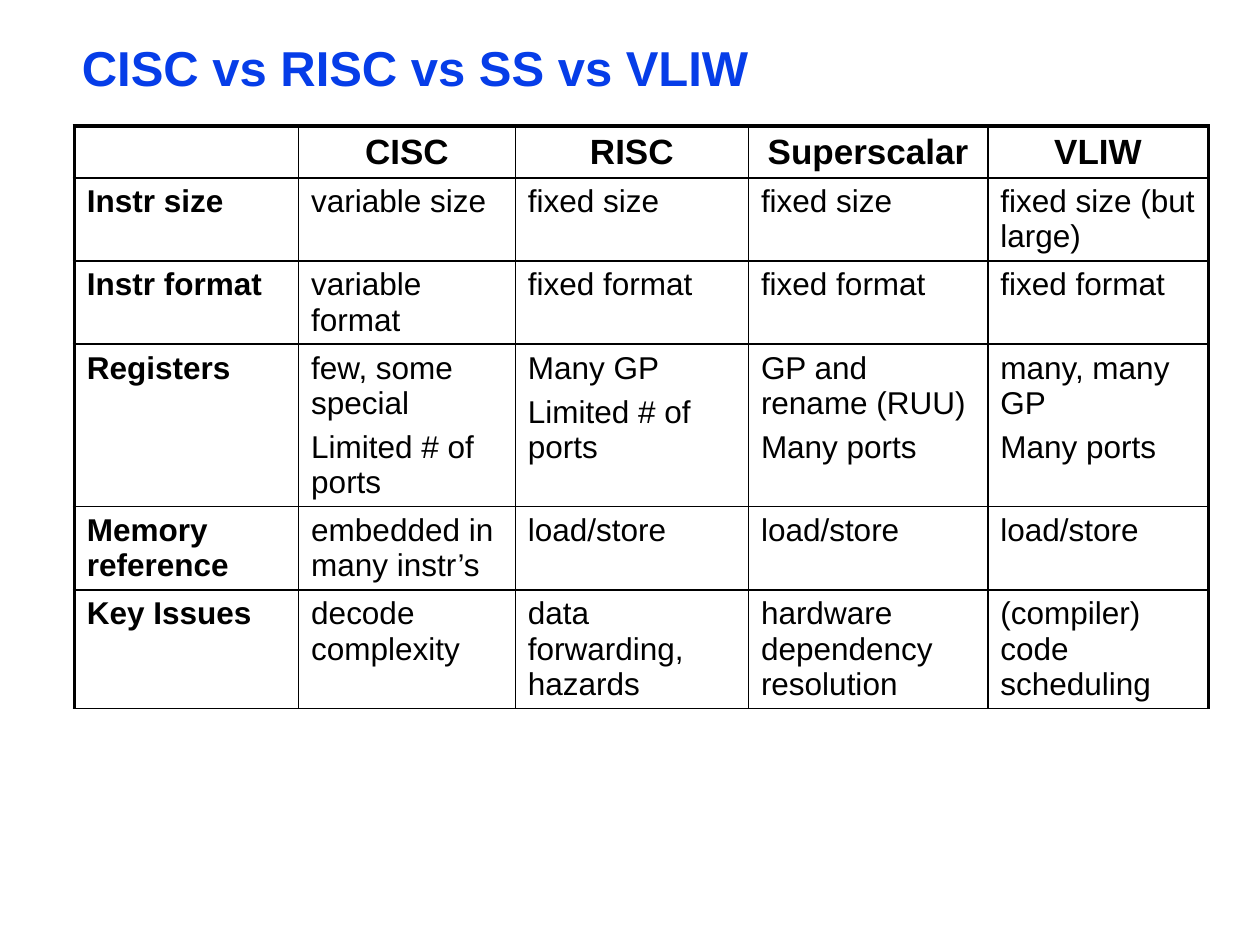
from pptx import Presentation
from pptx.dml.color import RGBColor
from pptx.enum.text import PP_ALIGN
from pptx.oxml import parse_xml
from pptx.oxml.ns import nsdecls
from pptx.util import Inches, Pt

CENTER, LEFT = PP_ALIGN.CENTER, PP_ALIGN.LEFT
BLUE = RGBColor(0x06, 0x3D, 0xE8)
BLACK = RGBColor(0, 0, 0)
FONT = "Arial"
THIN, THICK = 1, 2.25

TITLE = "CISC vs RISC vs SS vs VLIW"
ROWS = [
    ["", "CISC", "RISC", "Superscalar", "VLIW"],
    ["Instr size", "variable size", "fixed size", "fixed size",
     "fixed size (but large)"],
    ["Instr format", "variable format", "fixed format", "fixed format",
     "fixed format"],
    ["Registers", "few, some special\nLimited # of ports",
     "Many GP\nLimited # of ports", "GP and rename (RUU)\nMany ports",
     "many, many GP\nMany ports"],
    ["Memory reference", "embedded in many instr’s", "load/store",
     "load/store", "load/store"],
    ["Key Issues", "decode complexity", "data forwarding, hazards",
     "hardware dependency resolution", "(compiler) code scheduling"],
]
COL_WIDTHS = [1.78, 1.72, 1.85, 1.9, 1.75]
ROW_HEIGHT = 0.38
LINE_PITCH = 1.12  # line height as a multiple of the text size


def style_font(font, size, color, bold):
    font.name, font.size, font.bold = FONT, Pt(size), bold
    font.color.rgb = color


def set_borders(cell, widths):
    """Draw the left, right, top and bottom borders in the given points."""
    tcPr = cell._tc.get_or_add_tcPr()
    for i, (side, width) in enumerate(zip("LRTB", widths)):
        tcPr.insert(i, parse_xml(
            f'<a:ln{side} {nsdecls("a")} w="{int(Pt(width))}"><a:solidFill>'
            f'<a:srgbClr val="{BLACK}"/></a:solidFill></a:ln{side}>'))


def add_title(s):
    tf = s.shapes.add_textbox(Inches(0.58), Inches(0.33),
                              Inches(8.92), Inches(0.46)).text_frame
    tf.word_wrap = True
    tf.margin_left = tf.margin_right = Inches(0.07)
    tf.margin_top = tf.margin_bottom = Inches(0.03)
    tf.text = TITLE
    p = tf.paragraphs[0]
    p.line_spacing = 0.87
    style_font(p.runs[0].font, 28, BLUE, True)


def fill_cell(cell, text, row, col):
    header = row == 0
    size = 20 if header else 18
    cell.text_frame.text = text
    for i, p in enumerate(cell.text_frame.paragraphs):
        p.alignment = CENTER if header else LEFT
        p.line_spacing = Pt(size * LINE_PITCH)
        p.space_before = Pt(5 if i else 0)
        for r in p.runs:
            style_font(r.font, size, BLACK, header or col == 0)
    cell.fill.background()
    last = len(COL_WIDTHS) - 1
    set_borders(cell, [THICK if col == 0 else THIN,
                       THICK if col == last else THIN,
                       THICK if header else THIN, THIN])


def add_comparison_table(s):
    table = s.shapes.add_table(
        len(ROWS), len(COL_WIDTHS), Inches(0.59), Inches(1),
        Inches(sum(COL_WIDTHS)), Inches(ROW_HEIGHT * len(ROWS))).table
    table.first_row = table.horz_banding = False
    for column, width in zip(table.columns, COL_WIDTHS):
        column.width = Inches(width)
    for table_row in table.rows:
        table_row.height = Inches(ROW_HEIGHT)
    for row, texts in enumerate(ROWS):
        for col, text in enumerate(texts):
            fill_cell(table.cell(row, col), text, row, col)


def main():
    prs = Presentation()
    prs.slide_width, prs.slide_height = Inches(10), Inches(7.5)
    s = prs.slides.add_slide(prs.slide_layouts[6])
    add_title(s)
    add_comparison_table(s)
    prs.save("out.pptx")


if __name__ == "__main__":
    main()
